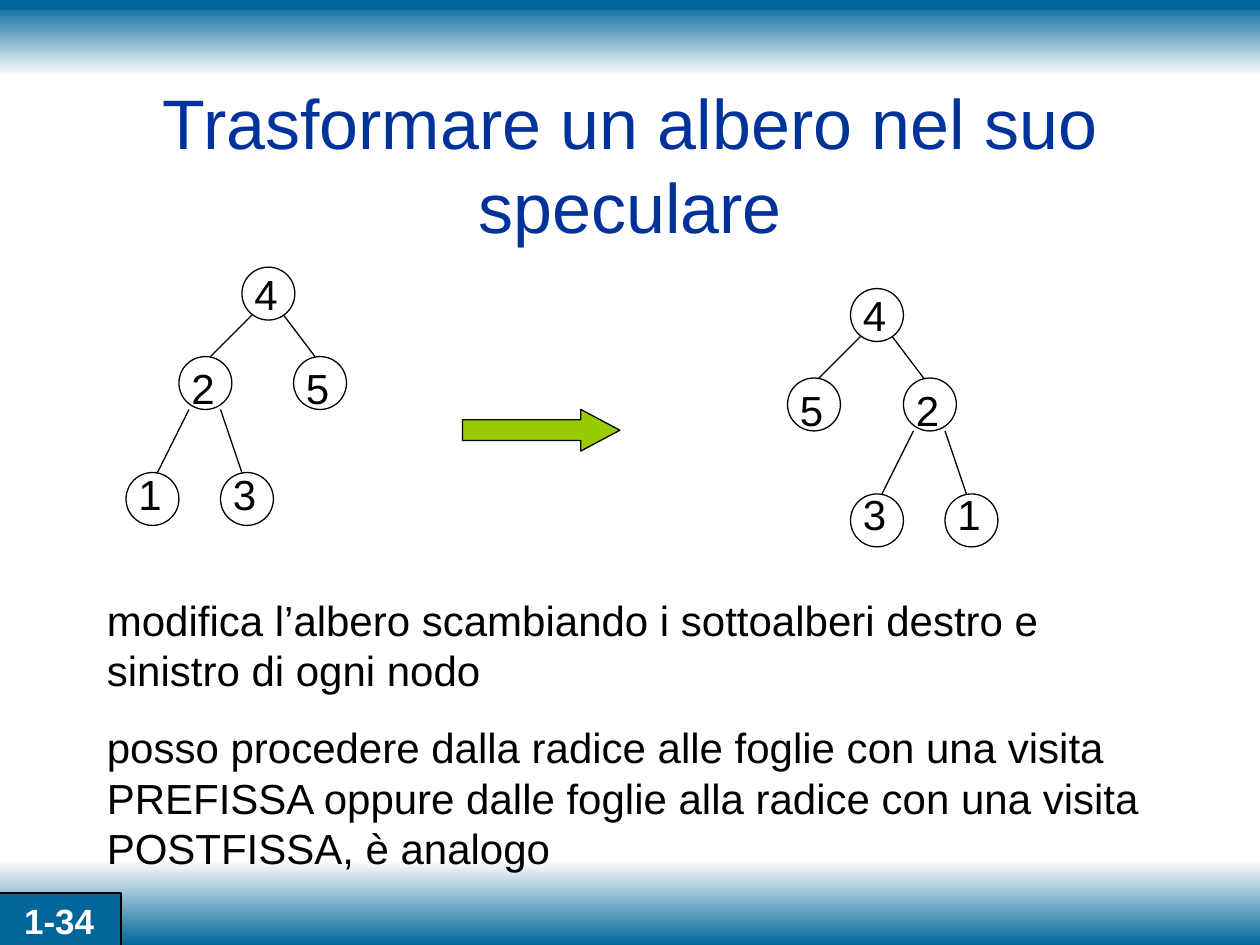
from pptx import Presentation
from pptx import util as u
from pptx.dml.color import RGBColor
from pptx.enum import shapes, text
from pptx.oxml.ns import qn

Inches = u.Inches
BLUE, WHITE, BLACK = "006699", "FEFEFE", "000000"
NODE = 0.42


def rgb(code):
    return RGBColor.from_string(code)


def put_text(shape, lines, size, color, align=text.PP_ALIGN.LEFT, bold=False):
    frame = shape.text_frame
    frame.text = "\n".join(lines)
    for para in frame.paragraphs:
        para.alignment = align
        para.font.name = "Arial"
        para.font.size = u.Pt(size)
        para.font.bold = bold
        para.font.color.rgb = rgb(color)
    return frame


deck = Presentation()
deck.slide_width, deck.slide_height = Inches(10), Inches(7.5)
page = deck.slides.add_slide(deck.slide_layouts[5])
items = page.shapes

# Gradient bands at the top and bottom
for top, height, colors in ((0.02, 0.58, (BLUE, WHITE)), (6.83, 0.67, (WHITE, BLUE))):
    band = items.add_shape(shapes.MSO_SHAPE.RECTANGLE, 0, Inches(top), Inches(10), Inches(height))
    band.shadow.inherit = False
    band.line.fill.background()
    band.fill.gradient()
    band.fill.gradient_angle = 270
    for stop, position, color in zip(band.fill.gradient_stops, (0, 1), colors):
        stop.position = position
        stop.color.rgb = rgb(color)

# Title and explanation
title = items.title
title.left, title.top, title.width, title.height = map(Inches, (0.75, 0.67, 8.5, 1.25))
frame = put_text(title, ["Trasformare un albero nel suo speculare"], 40, "003399", text.PP_ALIGN.CENTER)
frame.vertical_anchor = text.MSO_ANCHOR.MIDDLE
frame.auto_size = text.MSO_AUTO_SIZE.NONE

body = items.add_textbox(Inches(0.75), Inches(4.67), Inches(8.5), Inches(2.33))
frame = put_text(body, [
    "modifica l’albero scambiando i sottoalberi destro e sinistro di ogni nodo",
    "posso procedere dalla radice alle foglie con una visita PREFISSA oppure "
    "dalle foglie alla radice con una visita POSTFISSA, è analogo",
], 24, BLACK)
frame.word_wrap = True
frame.paragraphs[0].space_after = u.Pt(9)
frame.paragraphs[1].space_before = u.Pt(6)

# Each tree: nodes as (label, left, top, label top), then edges as (x1, y1, x2, y2)
trees = (
    (
        (("4", 1.92, 2.12, 2.08), ("2", 1.42, 2.83, 2.83), ("5", 2.33, 2.83, 2.83),
         ("1", 1, 3.75, 3.67), ("3", 1.75, 3.75, 3.67)),
        ((1.5, 3.25, 1.25, 3.75), (1.75, 3.25, 1.92, 3.75),
         (1.67, 2.83, 2, 2.5), (2.25, 2.5, 2.5, 2.83)),
    ),
    (
        (("4", 6.75, 2.29, 2.25), ("5", 6.25, 3, 3), ("2", 7.17, 3, 3),
         ("3", 6.75, 3.92, 3.83), ("1", 7.5, 3.92, 3.83)),
        ((7.25, 3.42, 7, 3.92), (7.5, 3.42, 7.67, 3.92),
         (6.5, 3, 6.83, 2.67), (7.08, 2.67, 7.33, 3)),
    ),
)
edges = [(edge, BLACK, 0.75) for nodes, tree_edges in trees for edge in tree_edges]
top_rule = ((0, 0.04, 10, 0.04), BLUE, 6)

for nodes, tree_edges in trees:
    for label, left, top, label_top in nodes:
        box = items.add_textbox(Inches(left), Inches(label_top), Inches(0.38), Inches(0.5))
        put_text(box, [label], 24, BLACK).word_wrap = False
        circle = items.add_shape(shapes.MSO_SHAPE.OVAL, Inches(left), Inches(top), Inches(NODE), Inches(NODE))
        circle.shadow.inherit = False
        circle.fill.background()
        circle.line.color.rgb = rgb(BLACK)
        circle.line.width = u.Pt(0.75)

for ends, color, width in [top_rule, *edges]:
    line = items.add_connector(shapes.MSO_CONNECTOR.STRAIGHT, *map(Inches, ends))
    line.line.color.rgb = rgb(color)
    line.line.width = u.Pt(width)
    properties = line._element.spPr
    properties.append(properties.makeelement(qn("a:effectLst"), {}))

# Arrow between the trees
arrow = items.add_shape(shapes.MSO_SHAPE.RIGHT_ARROW, Inches(3.67), Inches(3.25), Inches(1.25), Inches(0.33))
arrow.adjustments[0], arrow.adjustments[1] = 0.5, 0.94
arrow.shadow.inherit = False
arrow.fill.solid()
arrow.fill.fore_color.rgb = rgb("99CC00")
arrow.line.color.rgb = rgb(BLACK)
arrow.line.width = u.Pt(0.75)

# Page number
badge = items.add_shape(shapes.MSO_SHAPE.RECTANGLE, Inches(-0.02), Inches(7.09), Inches(0.98), Inches(0.44))
badge.shadow.inherit = False
badge.fill.solid()
badge.fill.fore_color.rgb = rgb(BLUE)
badge.line.color.rgb = rgb(BLACK)
badge.line.width = u.Pt(1)
frame = put_text(badge, ["1-34"], 20, "FFFFFF", text.PP_ALIGN.CENTER, bold=True)
frame.vertical_anchor = text.MSO_ANCHOR.TOP

deck.save("out.pptx")
